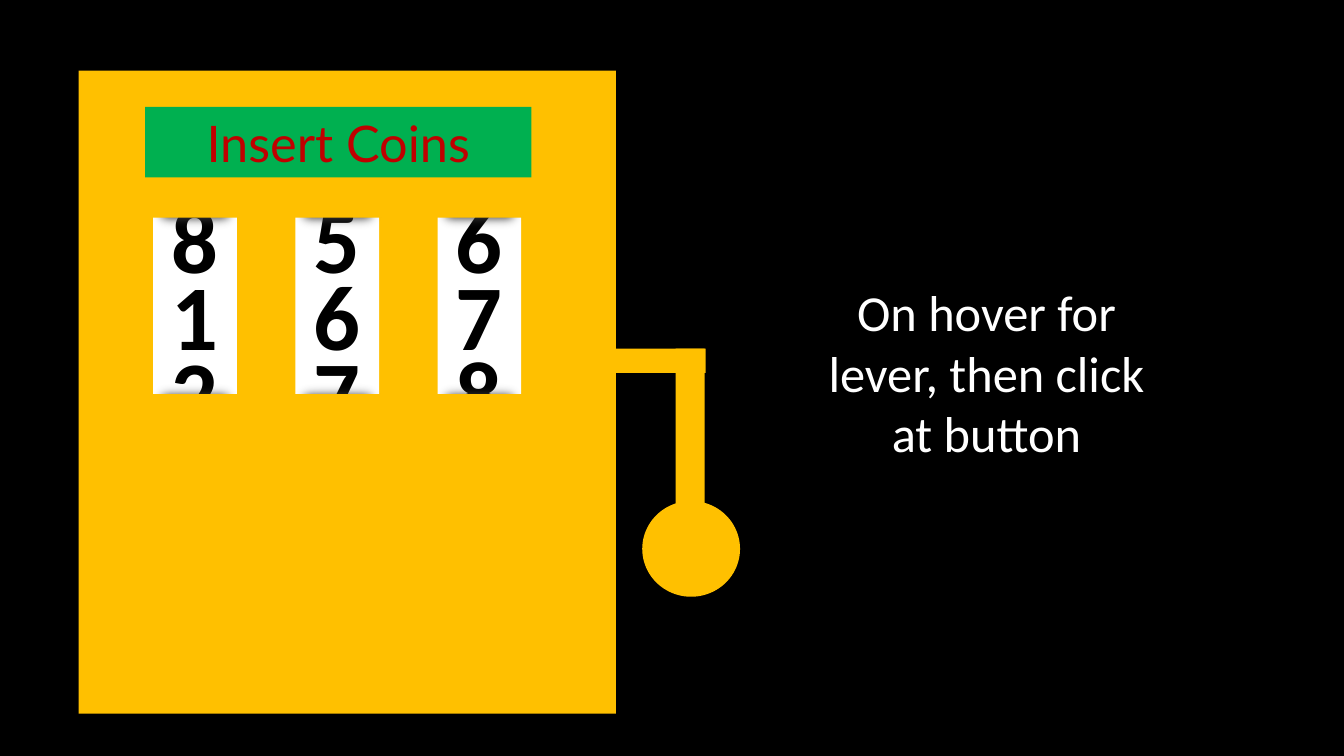
from lxml import etree
from pptx import Presentation
from pptx.dml.color import RGBColor
from pptx.enum import shapes, text
from pptx.oxml import ns
from pptx.util import Inches, Pt

COLORS = {
    "night": "000000", "gold": "FFC000", "white": "FFFFFF",
    "shade": "404040", "green": "00B050", "red": "C00000",
}
BANNER = "Insert Coins"
HINT = "On hover for lever, then click at button"
REELS = [("8", "1", "2"), ("5", "6", "7"), ("6", "7", "8")]

WIDTH, HEIGHT = 13.33, 7.5
REEL_LEFT, REEL_TOP, REEL_PITCH = 1.52, 2.13, 1.41
REEL_WIDTH, REEL_HEIGHT = 0.83, 1.93
DIGIT_TOP, DIGIT_PITCH = 1.75, 0.76
DIGIT_WIDTH, DIGIT_HEIGHT = 0.67, 1.21
SHADE_WIDTH, SHADE_HEIGHT = 0.99, 0.45
SHADE_TOPS = (1.88, 3.76)
SOFT_EDGE = Pt(9)

RECT = shapes.MSO_SHAPE.RECTANGLE
OVAL = shapes.MSO_SHAPE.OVAL

# Name of colour, outline, (left, top, width, height)
CABINET = [
    ("night", RECT, (0, 0, WIDTH, HEIGHT)),
    ("gold", OVAL, (6.37, 4.97, 0.97, 0.95)),
    ("gold", RECT, (0.78, 0.7, 5.33, 6.38)),
    ("gold", RECT, (6.7, 3.46, 0.29, 2.26)),
    ("gold", RECT, (5.99, 3.46, 1.01, 0.24)),
]
WINDOW_EDGES = [(1.37, 3.91, 3.99, 0.45), (1.18, 1.71, 4.18, 0.45)]
BANNER_PLACE = (1.44, 1.06, 3.83, 0.7)
HINT_PLACE = (7.87, 2.91, 3.83, 1.56)


def rgb(name):
    return RGBColor.from_string(COLORS[name])


def add_block(page, color, place, outline=RECT):
    block = page.shapes.add_shape(outline, *map(Inches, place))
    block.shadow.inherit = False
    block.fill.solid()
    block.fill.fore_color.rgb = rgb(color)
    block.line.fill.background()
    return block


def write(box, words, size=36, font="Calibri", color="white", bold=False,
          align=text.PP_ALIGN.CENTER, anchor=text.MSO_ANCHOR.MIDDLE, wrap=True):
    frame = box.text_frame
    frame.word_wrap = wrap
    frame.vertical_anchor = anchor
    if not wrap:
        frame.auto_size = text.MSO_AUTO_SIZE.SHAPE_TO_FIT_TEXT
    para = frame.paragraphs[0]
    para.alignment = align
    span = para.add_run()
    span.text = words
    span.font.size = Pt(size)
    span.font.name = font
    span.font.bold = bold
    span.font.color.rgb = rgb(color)


def soften(block):
    """Blur the outline of a block with a soft edge."""
    effects = block.element.spPr.find(ns.qn("a:effectLst"))
    etree.SubElement(effects, ns.qn("a:softEdge"), rad=str(SOFT_EDGE))


def add_text_box(page, place):
    return page.shapes.add_textbox(*map(Inches, place))


def main():
    deck = Presentation()
    deck.slide_width, deck.slide_height = Inches(WIDTH), Inches(HEIGHT)
    page = deck.slides.add_slide(deck.slide_layouts[6])

    for color, outline, place in CABINET:
        add_block(page, color, place, outline)

    for column, digits in enumerate(REELS):
        left = REEL_LEFT + column * REEL_PITCH
        center = left + REEL_WIDTH / 2
        add_block(page, "white", (left, REEL_TOP, REEL_WIDTH, REEL_HEIGHT))
        for row, digit in enumerate(digits):
            box = add_text_box(page, (center - DIGIT_WIDTH / 2,
                                      DIGIT_TOP + row * DIGIT_PITCH,
                                      DIGIT_WIDTH, DIGIT_HEIGHT))
            write(box, digit, size=66, color="night", bold=True, wrap=False,
                  align=text.PP_ALIGN.LEFT, anchor=text.MSO_ANCHOR.TOP)
        for top in SHADE_TOPS:
            soften(add_block(page, "shade", (center - SHADE_WIDTH / 2, top,
                                             SHADE_WIDTH, SHADE_HEIGHT)))

    for place in WINDOW_EDGES:
        add_block(page, "gold", place)

    write(add_block(page, "green", BANNER_PLACE), BANNER, font="Lato", color="red")
    write(add_text_box(page, HINT_PLACE), HINT)
    deck.save("out.pptx")


if __name__ == "__main__":
    main()
